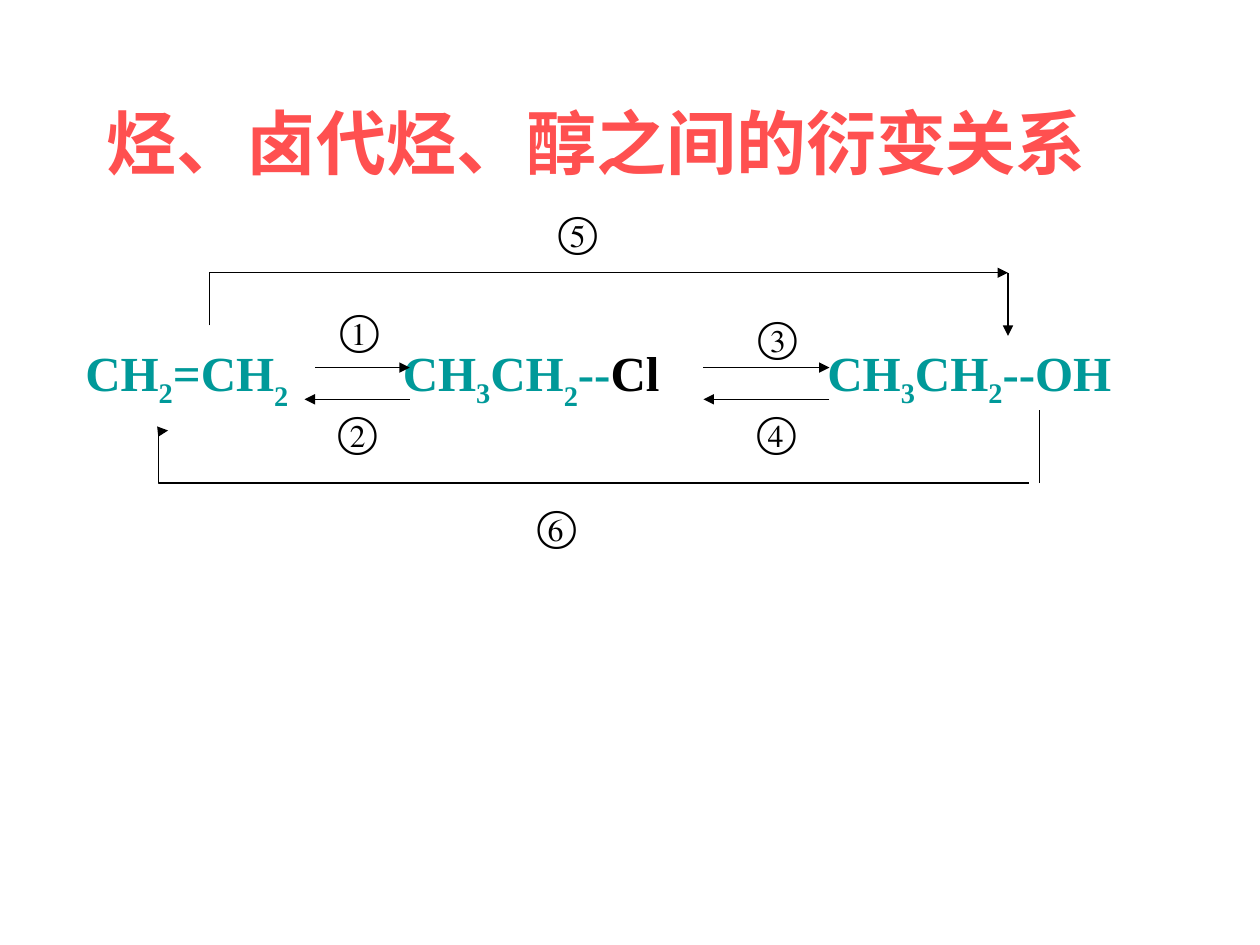
from lxml import etree
from pptx import Presentation
from pptx.dml.color import RGBColor
from pptx.enum import shapes, text
from pptx.oxml.ns import qn
from pptx.util import Cm, Pt

FONT = "Times New Roman"
CORAL = RGBColor(0xFF, 0x50, 0x50)
TEAL = RGBColor(0x00, 0x99, 0x99)
BLACK = RGBColor(0, 0, 0)

# Text, baseline shift in percent, colour; a tab leads to the next compound
REACTION = [
    ("CH", 0, TEAL), ("2", -25, TEAL), ("=CH", 0, TEAL), ("2", -30, TEAL),
    ("\tCH", 0, TEAL), ("3", -25, TEAL), ("CH", 0, TEAL), ("2", -30, TEAL),
    ("--", 0, TEAL), ("Cl", 0, BLACK),
    ("\tCH", 0, TEAL), ("3", -25, TEAL), ("CH", 0, TEAL), ("2", -25, TEAL),
    ("--OH", 0, TEAL),
]
COMPOUND_TABS = (6.4, 14.96)

# Number, left, top, width
STEPS = [
    ("①", 6.6, 6, 1.3), ("②", 6.56, 8.05, 1.48),
    ("③", 15.03, 6.14, 1.9), ("④", 15.01, 8.05, 1.3),
    ("⑤", 11, 4.02, 1.27), ("⑥", 10.58, 9.95, 1.48),
]

FORWARD_Y, BACKWARD_Y = 7.41, 8.05
# Start x, start y, end x, end y
STEP_ARROWS = [
    (6.35, FORWARD_Y, 8.26, FORWARD_Y), (8.26, BACKWARD_Y, 6.14, BACKWARD_Y),
    (14.18, FORWARD_Y, 16.72, FORWARD_Y), (16.72, BACKWARD_Y, 14.18, BACKWARD_Y),
]


def style_font(font, size, color, bold=False):
    font.name = FONT
    font.size = Pt(size)
    font.bold = bold
    font.color.rgb = color


def add_title(slide, wording):
    title = slide.shapes.title
    title.left, title.top, title.width, title.height = Cm(1.9), Cm(1.88), Cm(20.96), Cm(1.96)
    frame = title.text_frame
    frame.text = wording
    frame.vertical_anchor = text.MSO_ANCHOR.TOP
    frame.auto_size = text.MSO_AUTO_SIZE.NONE
    paragraph = frame.paragraphs[0]
    paragraph.alignment = text.PP_ALIGN.LEFT
    style_font(paragraph.runs[0].font, 40, CORAL, bold=True)


def add_text_frame(slide, left, top, width, height):
    frame = slide.shapes.add_textbox(Cm(left), Cm(top), Cm(width), Cm(height)).text_frame
    frame.word_wrap = True
    return frame


def add_reaction(slide):
    paragraph = add_text_frame(slide, 1.47, 6.78, 22.86, 1.65).paragraphs[0]
    tabs = etree.SubElement(paragraph._p.get_or_add_pPr(), qn("a:tabLst"))
    for position in COMPOUND_TABS:
        etree.SubElement(tabs, qn("a:tab"), pos=str(Cm(position)), algn="l")
    for wording, shift, color in REACTION:
        run = paragraph.add_run()
        run.text = wording
        style_font(run.font, 28, color, bold=True)
        if shift:
            run._r.get_or_add_rPr().set("baseline", str(shift * 1000))


def add_step_number(slide, number, left, top, width):
    frame = add_text_frame(slide, left, top, width, 1.27)
    frame.text = number
    style_font(frame.paragraphs[0].runs[0].font, 24, BLACK)


def add_line(slide, start_x, start_y, end_x, end_y, arrow=True, bend=None):
    """Draw a line; bend is the elbow's place in thousandths of a percent."""
    kind = shapes.MSO_CONNECTOR.STRAIGHT if bend is None else shapes.MSO_CONNECTOR.ELBOW
    line = slide.shapes.add_connector(kind, Cm(start_x), Cm(start_y), Cm(end_x), Cm(end_y))
    line.line.color.rgb = BLACK
    line.line.width = Pt(0.75)
    properties = line._element.spPr
    if arrow:
        etree.SubElement(properties.find(qn("a:ln")), qn("a:tailEnd"), type="triangle")
    if bend is not None:
        guides = properties.find(qn("a:prstGeom")).get_or_add_avLst()
        etree.SubElement(guides, qn("a:gd"), name="adj1", fmla=f"val {bend}")
    etree.SubElement(properties, qn("a:effectLst"))


def main():
    deck = Presentation()
    deck.slide_width, deck.slide_height = Cm(25.4), Cm(19.05)
    slide = deck.slides.add_slide(deck.slide_layouts[5])

    add_title(slide, "烃、卤代烃、醇之间的衍变关系")
    add_reaction(slide)
    # Alkene to alcohol above, alcohol to alkene below
    add_line(slide, 4.23, 6.56, 20.32, 5.5, bend=0)
    add_line(slide, 20.32, 5.5, 20.32, 6.77)
    add_line(slide, 20.74, 9.74, 3.39, 8.68, bend=101100)
    add_line(slide, 20.96, 9.74, 20.96, 8.26, arrow=False)
    for ends in STEP_ARROWS:
        add_line(slide, *ends)
    for step in STEPS:
        add_step_number(slide, *step)

    deck.save("out.pptx")


if __name__ == "__main__":
    main()
